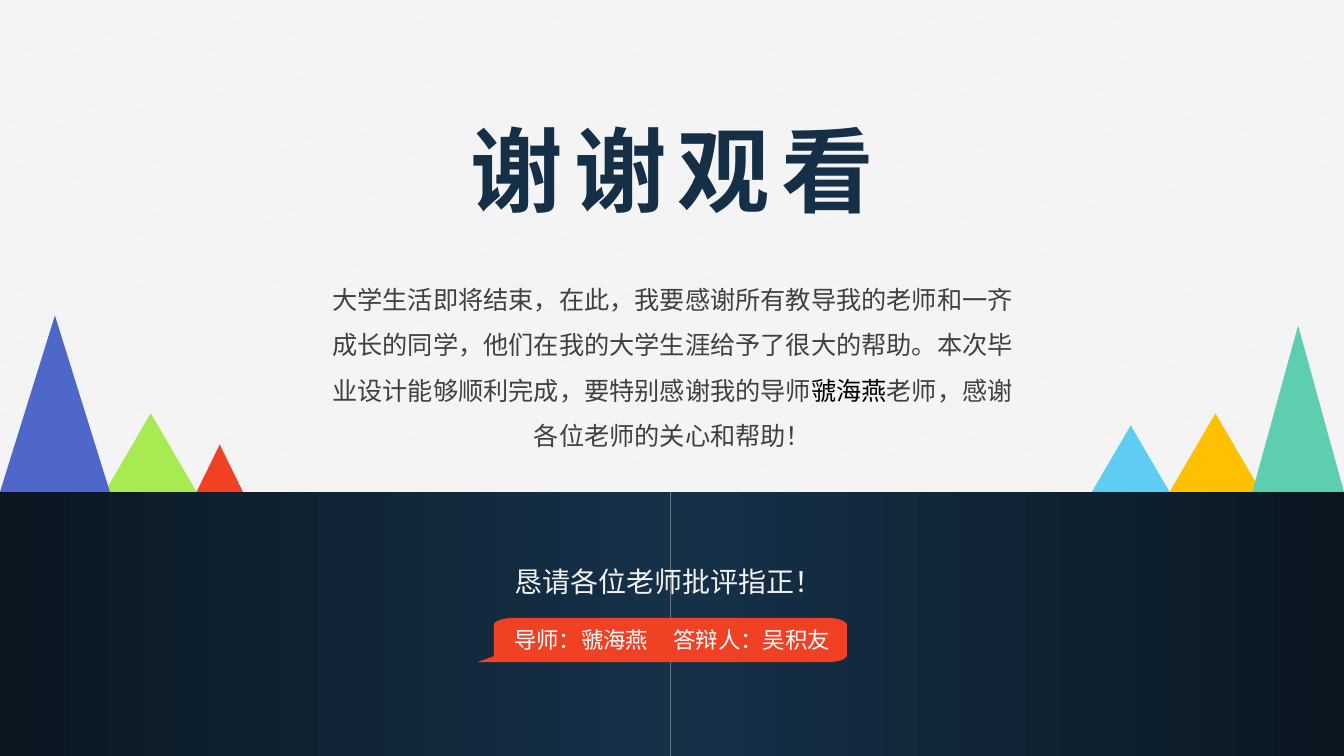
import math

import pptx
import pptx.dml.color
import pptx.enum.dml
import pptx.enum.shapes
import pptx.enum.text
import pptx.oxml
import pptx.oxml.ns
import pptx.util

W, H = 13.33, 7.5
HORIZON = 4.88
MIDDLE = 6.65
FONT = "Noto Sans CJK SC"
COLORS = {
    "white": "FFFFFF", "paper": "F2F2F2", "navy": "163048", "night": "0A1721",
    "title": "152F47", "body": "404040", "black": "000000", "red": "F14124",
    "green": "A7EA52", "sky": "5ECCF3", "indigo": "4E67C8",
    "amber": "FFC000", "teal": "5DCEAF",
}

# Content: left, width, rotation of each half of the ground
GROUND = [(0, MIDDLE, 180), (MIDDLE, W - MIDDLE, 0)]
# left, width, height, colour; all stand on the horizon
PEAKS = [
    (1.04, 0.91, 0.78, "green"), (10.83, 0.77, 0.66, "sky"),
    (0, 1.09, 1.75, "indigo"), (1.95, 0.46, 0.47, "red"),
    (11.6, 0.91, 0.78, "amber"), (12.42, 0.91, 1.65, "teal"),
]
BUBBLE = {"left": 4.9, "top": 6.13, "right": 8.4, "bottom": 6.57, "rx": 0.2, "ry": 0.07}
TAIL = [(4.73, 6.57), (4.9, 6.51)]
TEXTS = [
    {"at": (4.24, 1.07, 4.86, 1.21), "align": "CENTER", "size": 66, "bold": True,
     "spacing": 8, "runs": [("谢谢观看", FONT, "title")]},
    {"at": (3.15, 2.62, 7.04, 1.92), "align": "CENTER", "size": 18, "lines": 1.5,
     "runs": [
         ("大学生活即将结束，在此，我要感谢所有教导我的老师和一齐成长的同学，"
          "他们在我的大学生涯给予了很大的帮助。本次毕业设计能够顺利完成，"
          "要特别感谢我的导师", FONT, "body"),
         ("虢海燕", "Calibri", "black"),
         ("老师，感谢各位老师的关心和帮助！", FONT, "body")]},
    {"at": (5, 5.38, 3.33, 0.55), "align": "LEFT", "size": 20, "lines": 1.5,
     "runs": [("恳请各位老师批评指正！", FONT, "paper")]},
    {"at": (4.68, 6.16, 3.98, 0.37), "align": "LEFT", "size": 16, "indent": 0.42,
     "tab": 1.58, "runs": [("导师：虢海燕\t答辩人：吴积友", FONT, "white")]},
]


def rgb(name):
    return pptx.dml.color.RGBColor.from_string(COLORS[name])


def inches(*values):
    return [pptx.util.Inches(v) for v in values]


def finish(sp, color=None):
    sp.shadow.inherit = False
    sp.line.fill.background()
    if color:
        sp.fill.solid()
        sp.fill.fore_color.rgb = rgb(color)


def bubble_points(left, top, right, bottom, rx, ry, steps=12):
    """Clockwise rounded outline, from the top left to the bottom left corner."""
    corners = [(left + rx, top + ry), (right - rx, top + ry), (right - rx, bottom - ry)]
    points = []
    for i, (cx, cy) in enumerate(corners):
        for k in range(steps + 1):
            a = math.pi * (1 + i / 2 + k / steps / 2)
            points.append((cx + rx * math.cos(a), cy + ry * math.sin(a)))
    return points


def add_text(shapes, item):
    sp = shapes.add_textbox(*inches(*item["at"]))
    tf = sp.text_frame
    frame = {"word_wrap": True, "auto_size": pptx.enum.text.MSO_AUTO_SIZE.SHAPE_TO_FIT_TEXT,
             "margin_left": pptx.util.Inches(item.get("indent", 0.1))}
    for key, value in frame.items():
        setattr(tf, key, value)
    p = tf.paragraphs[0]
    p.alignment = pptx.enum.text.PP_ALIGN[item["align"]]
    p.line_spacing = item.get("lines")
    if "tab" in item:
        tabs = pptx.oxml.parse_xml(
            f'<a:tabLst {pptx.oxml.ns.nsdecls("a")}>'
            f'<a:tab pos="{pptx.util.Inches(item["tab"])}" algn="l"/></a:tabLst>')
        p._p.get_or_add_pPr().append(tabs)
    for text, font, color in item["runs"]:
        r = p.add_run()
        r.text = text
        style = {"name": font, "size": pptx.util.Pt(item["size"]), "bold": item.get("bold")}
        for key, value in style.items():
            setattr(r.font, key, value)
        r.font.color.rgb = rgb(color)
        rpr = r._r.get_or_add_rPr()
        rpr.append(pptx.oxml.parse_xml(
            f'<a:ea {pptx.oxml.ns.nsdecls("a")} typeface="{FONT}"/>'))
        if "spacing" in item:
            rpr.set("spc", str(item["spacing"] * 100))


def main():
    prs = pptx.Presentation()
    prs.slide_width, prs.slide_height = inches(W, H)
    s = prs.slides.add_slide(prs.slide_layouts[6])
    shape_type = pptx.enum.shapes.MSO_SHAPE

    # Hatched background
    fill = s.background.fill
    fill.patterned()
    fill.pattern = pptx.enum.dml.MSO_PATTERN.LIGHT_UPWARD_DIAGONAL
    fill.fore_color.rgb = rgb("white")
    fill.back_color.rgb = rgb("paper")

    # Ground, darkening towards both edges
    for left, width, rotation in GROUND:
        sp = s.shapes.add_shape(shape_type.RECTANGLE,
                                *inches(left, HORIZON, width, H - HORIZON))
        sp.rotation = rotation
        finish(sp)
        sp.fill.gradient()
        sp.fill.gradient_angle = 0
        for stop, color, position in zip(sp.fill.gradient_stops, ("navy", "night"), (0, 1)):
            stop.color.rgb = rgb(color)
            stop.position = position

    # Title, thanks and request
    for item in TEXTS[:-1]:
        add_text(s.shapes, item)

    # Peaks
    for left, width, height, color in PEAKS:
        sp = s.shapes.add_shape(shape_type.ISOSCELES_TRIANGLE,
                                *inches(left, HORIZON - height, width, height))
        finish(sp, color)

    # Speech bubble with the names
    points = [inches(*xy) for xy in bubble_points(**BUBBLE) + TAIL]
    builder = s.shapes.build_freeform(*points[0], scale=1.0)
    builder.add_line_segments(points[1:], close=True)
    finish(builder.convert_to_shape(), "red")
    add_text(s.shapes, TEXTS[-1])

    prs.save("out.pptx")


if __name__ == "__main__":
    main()
